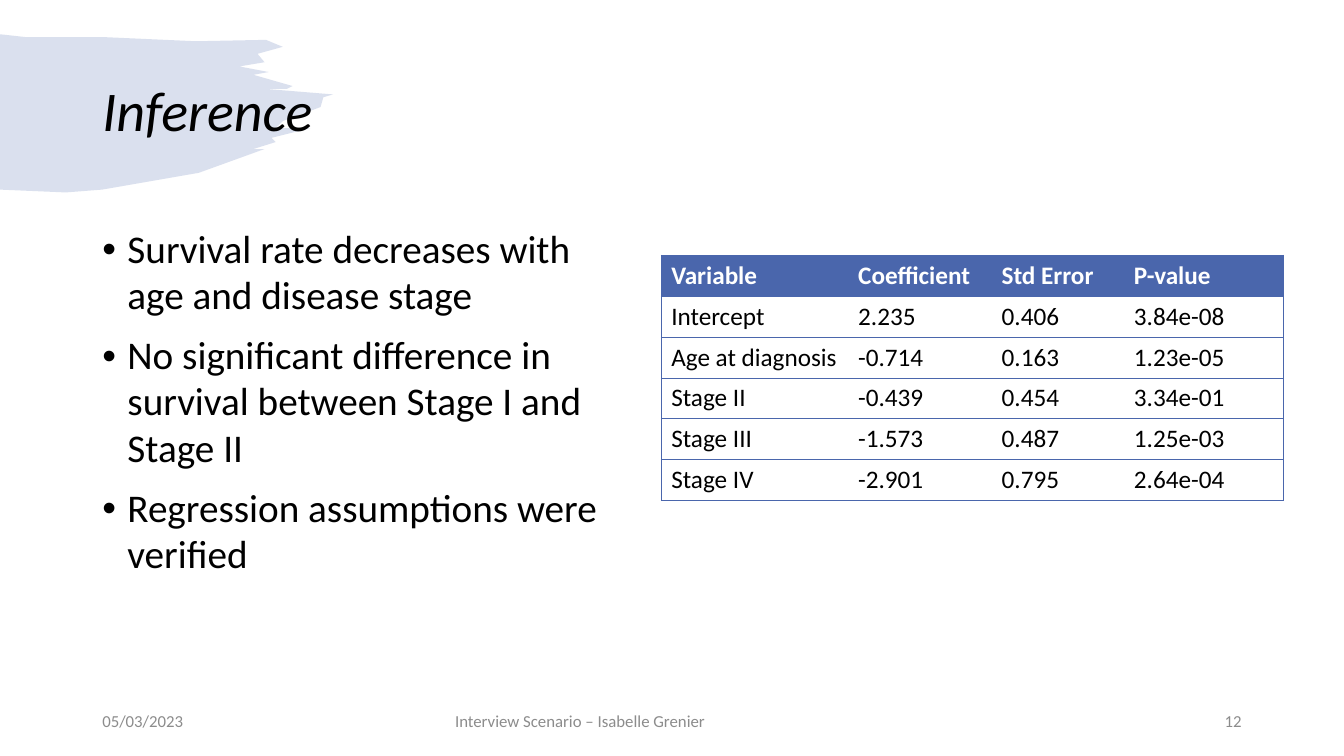
from pptx import Presentation
from pptx.dml.color import RGBColor
from pptx.enum.text import MSO_ANCHOR, PP_ALIGN
from pptx.oxml.ns import qn
from pptx.util import Pt
from lxml import etree

MIDDLE, TOP = MSO_ANCHOR.MIDDLE, MSO_ANCHOR.TOP
LEFT, RIGHT = PP_ALIGN.LEFT, PP_ALIGN.RIGHT
FONT, BLUE, BLACK, WHITE, GREY = "Calibri", "4A66AC", "000000", "FFFFFF", "8C8C8C"
BLANK_LAYOUT = 6

# Brush outline in points, clockwise from its top left corner
BRUSH = [
    (0, 0), (18, 2), (73, 2), (140, 5), (190, 4), (202, 9), (184, 14), (189, 20),
    (171, 23), (192, 27), (181, 29), (202, 35), (209, 37), (205, 39), (189, 39),
    (238, 43), (231, 45), (229, 52), (221, 55), (202, 62), (197, 67), (222, 67),
    (194, 74), (197, 77), (181, 82), (189, 82), (142, 99), (73, 111), (47, 113), (0, 111),
]

BULLETS = [
    "Survival rate decreases with age and disease stage",
    "No significant difference in survival between Stage I and Stage II",
    "Regression assumptions were verified",
]
COLUMN_WIDTHS = [133.5, 102.5, 94.5, 114]
ROW_HEIGHT = 29.2
COEFFICIENTS = [
    ("Variable", "Coefficient", "Std Error", "P-value"),
    ("Intercept", "2.235", "0.406", "3.84e-08"),
    ("Age at diagnosis", "-0.714", "0.163", "1.23e-05"),
    ("Stage II", "-0.439", "0.454", "3.34e-01"),
    ("Stage III", "-1.573", "0.487", "1.25e-03"),
    ("Stage IV", "-2.901", "0.795", "2.64e-04"),
]


def color(value):
    """Turn a hex string into a colour."""
    return RGBColor.from_string(value)


def write(para, text, hue, **font):
    """Add one run to a paragraph and format it."""
    span = para.add_run()
    span.text = text
    span.font.color.rgb = color(hue)
    for name, value in {"name": FONT, **font}.items():
        setattr(span.font, name, value)


def add_frame(page, box, anchor):
    """Add a wrapping text box and return its text frame."""
    frame = page.shapes.add_textbox(*map(Pt, box)).text_frame
    for name, value in {"word_wrap": True, "vertical_anchor": anchor}.items():
        setattr(frame, name, value)
    return frame


def add_brush(page, left, top):
    """Draw the translucent brush stroke behind the title."""
    corners = [(Pt(left + x), Pt(top + y)) for x, y in BRUSH]
    builder = page.shapes.build_freeform(*corners[0])
    builder.add_line_segments(corners[1:], close=True)
    brush = builder.convert_to_shape()
    brush.shadow.inherit = False
    brush.fill.solid()
    brush.fill.fore_color.rgb = color(BLUE)
    brush.line.fill.background()
    tint = brush.element.spPr.find(qn("a:solidFill")).find(qn("a:srgbClr"))
    etree.SubElement(tint, qn("a:alpha"), val="20000")


def add_title(page, box):
    """Write the slide title."""
    para = add_frame(page, box, MIDDLE).paragraphs[0]
    para.line_spacing = 0.9
    write(para, "Inference", BLACK, size=Pt(40), italic=True)


def add_bullets(page, box):
    """Write the bulleted findings."""
    frame = add_frame(page, box, TOP)
    for index, text in enumerate(BULLETS):
        para = frame.add_paragraph() if index else frame.paragraphs[0]
        for name, value in {"space_before": Pt(10), "line_spacing": 0.98}.items():
            setattr(para, name, value)
        layout = para._p.get_or_add_pPr()
        layout.set("marL", str(Pt(18)))
        layout.set("indent", str(-Pt(18)))
        etree.SubElement(layout, qn("a:buFont"), typeface="Arial")
        etree.SubElement(layout, qn("a:buChar"), char="•")
        write(para, text, BLACK, size=Pt(28))


def set_borders(cell, visible):
    """Rule the visible sides of a cell and clear the others."""
    properties = cell._tc.get_or_add_tcPr()
    for side in "LRTB":
        line = etree.SubElement(properties, qn("a:ln" + side), w=str(Pt(0.5)))
        if side in visible:
            fill = etree.SubElement(line, qn("a:solidFill"))
            etree.SubElement(fill, qn("a:srgbClr"), val=BLUE)
        else:
            etree.SubElement(line, qn("a:noFill"))


def add_coefficients(page, left, top):
    """Build the table of regression coefficients."""
    rows, columns = len(COEFFICIENTS), len(COLUMN_WIDTHS)
    size = (sum(COLUMN_WIDTHS), rows * ROW_HEIGHT)
    table = page.shapes.add_table(rows, columns, *map(Pt, (left, top, *size))).table
    table.horz_banding = False
    for column, width in zip(table.columns, COLUMN_WIDTHS):
        column.width = Pt(width)
    for r, values in enumerate(COEFFICIENTS):
        table.rows[r].height = Pt(ROW_HEIGHT)
        header = r == 0
        for c, text in enumerate(values):
            cell = table.cell(r, c)
            set_borders(cell, "TB" + "L" * (c == 0) + "R" * (c == columns - 1))
            cell.fill.solid()
            cell.fill.fore_color.rgb = color(BLUE if header else WHITE)
            write(cell.text_frame.paragraphs[0], text, WHITE if header else BLACK,
                  size=Pt(18), bold=header)


def add_footer(page, top):
    """Write the date, the talk name and the page number."""
    for left, width, text, align in (
        (66, 216, "05/03/2023", LEFT),
        (318, 324, "Interview Scenario – Isabelle Grenier", LEFT),
        (678, 216, "12", RIGHT),
    ):
        para = add_frame(page, (left, top, width, 28.75), MIDDLE).paragraphs[0]
        para.alignment = align
        write(para, text, GREY, size=Pt(12))


def main():
    """Build and save the slide."""
    deck = Presentation()
    deck.slide_width, deck.slide_height = Pt(960), Pt(540)
    page = deck.slides.add_slide(deck.slide_layouts[BLANK_LAYOUT])
    add_brush(page, 0, 24.5)
    add_title(page, (66, 28.75, 828, 104.4))
    add_coefficients(page, 472.3, 182.3)
    add_footer(page, 500.5)
    add_bullets(page, (66, 158.4, 388.8, 327.6))
    deck.save("out.pptx")


main()
